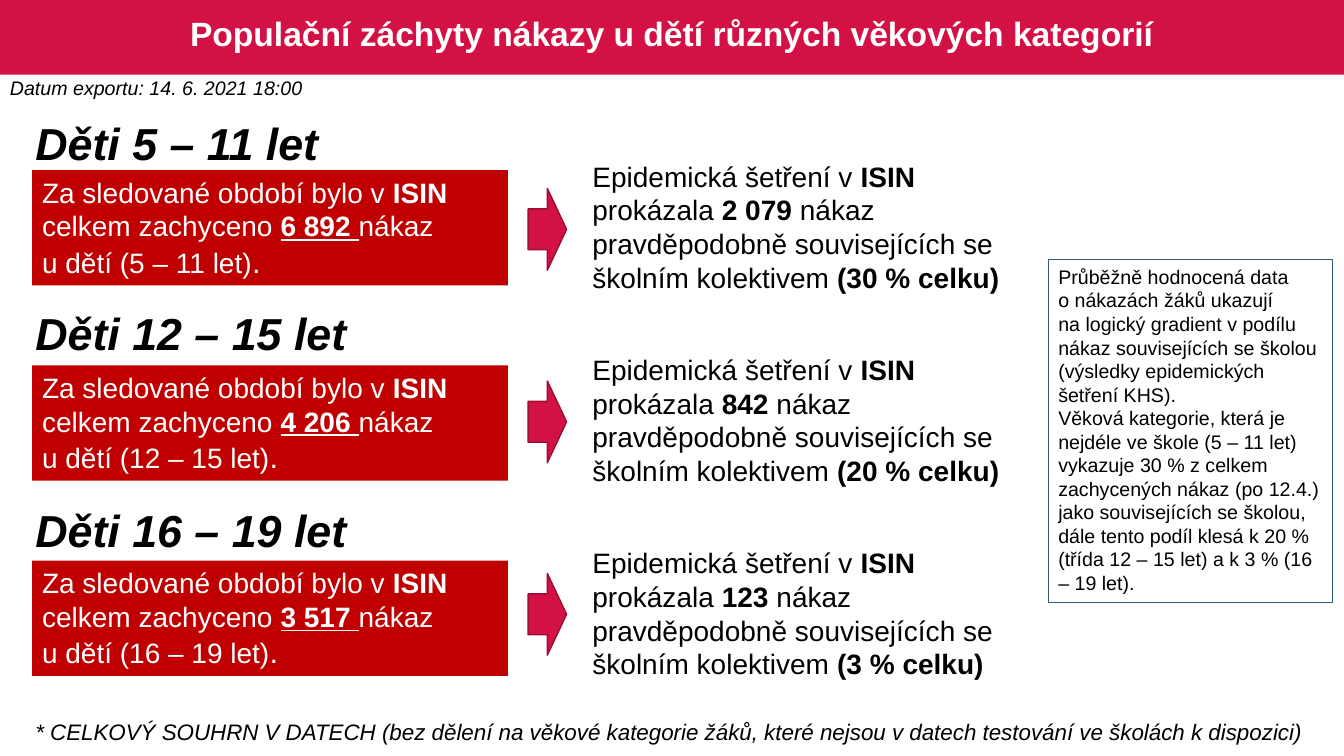
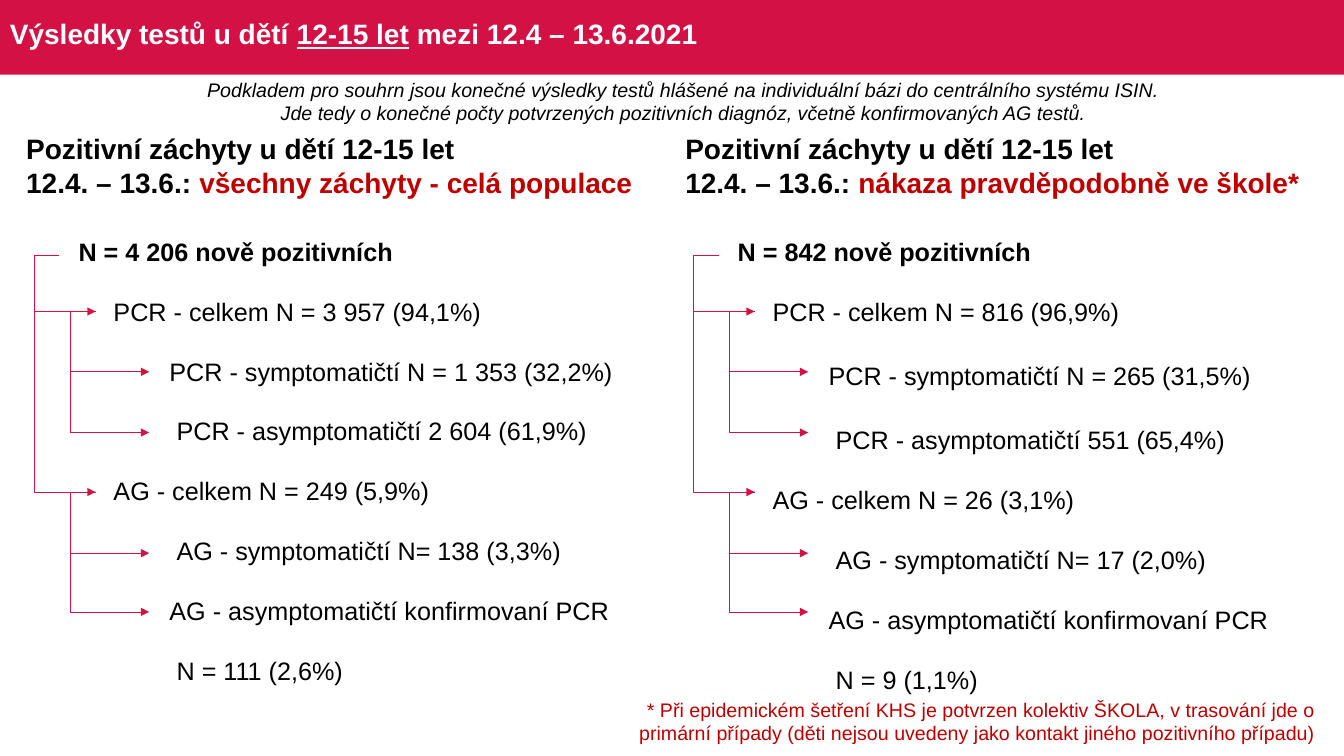
from lxml import etree
from pptx import Presentation
from pptx.dml.color import RGBColor
from pptx.enum import shapes, text
from pptx.oxml import ns
from pptx.util import Cm, Pt

CRIMSON = RGBColor(0xD3, 0x11, 0x45)
DARK_CRIMSON = RGBColor(0x9C, 0x0D, 0x33)
RED = RGBColor(0xC0, 0x00, 0x00)
BLUE = RGBColor(0x30, 0x59, 0x83)
BLACK = RGBColor(0x00, 0x00, 0x00)
WHITE = RGBColor(0xFF, 0xFF, 0xFF)
FONT = "Arial"
SLIDE_W, SLIDE_H = 33.87, 19.05
BAND_H = 1.88
LEFT, CENTER, RIGHT = text.PP_ALIGN.LEFT, text.PP_ALIGN.CENTER, text.PP_ALIGN.RIGHT

# Slide 1: (age group, all cases, school cases, school share)
AGE_TITLE = "Populační záchyty nákazy u dětí různých věkových kategorií"
EXPORT_DATE = "Datum exportu: 14. 6. 2021 18:00"
AGE_GROUPS = [
    ("5 – 11 let", "6 892", "2 079", "30 %"),
    ("12 – 15 let", "4 206", "842", "20 %"),
    ("16 – 19 let", "3 517", "123", "3 %"),
]
HEADING_TOPS = (2.79, 7.57, 12.55)
COMMENTARY = [
    "Průběžně hodnocená data",
    "o nákazách žáků ukazují",
    "na logický gradient v podílu nákaz souvisejících se školou "
    "(výsledky epidemických šetření KHS).",
    "Věková kategorie, která je nejdéle ve škole (5 – 11 let) vykazuje 30 % z celkem "
    "zachycených nákaz (po 12.4.) jako souvisejících se školou, dále tento podíl klesá "
    "k 20 % (třída 12 – 15 let) a k 3 % (16 – 19 let).",
]
SUMMARY_NOTE = ("* CELKOVÝ SOUHRN V DATECH (bez dělení na věkové kategorie žáků, "
                "které nejsou v datech testování ve školách k dispozici)")

# Slide 2: each result is (indent in cm, text)
TEST_TITLE = [("Výsledky testů u dětí ", "b"), ("12-15 let", "bu"),
              (" mezi 12.4 – 13.6.2021", "b")]
SOURCE_NOTE = [
    "Podkladem pro souhrn jsou konečné výsledky testů hlášené na individuální bázi "
    "do centrálního systému ISIN.",
    "Jde tedy o konečné počty potvrzených pozitivních diagnóz, "
    "včetně konfirmovaných AG testů.",
]
PANELS = [
    {"left": 0, "scope": "všechny záchyty - celá populace", "tall_row": None,
     "results": [
         (0, "N = 4 206 nově pozitivních"),
         (0.88, "PCR - celkem N = 3 957 (94,1%)"),
         (2.29, "PCR - symptomatičtí N = 1 353 (32,2%)"),
         (2.47, "PCR - asymptomatičtí 2 604 (61,9%)"),
         (0.88, "AG - celkem N = 249 (5,9%)"),
         (2.47, "AG - symptomatičtí N= 138 (3,3%)"),
         (2.29, "AG - asymptomatičtí konfirmovaní PCR"),
         (2.47, "N = 111 (2,6%)")]},
    {"left": 16.61, "scope": "nákaza pravděpodobně ve škole*", "tall_row": 2,
     "results": [
         (0, "N = 842 nově pozitivních"),
         (0.88, "PCR - celkem N = 816 (96,9%)"),
         (2.29, "PCR - symptomatičtí N = 265 (31,5%)"),
         (2.47, "PCR - asymptomatičtí 551 (65,4%)"),
         (0.88, "AG - celkem N = 26 (3,1%)"),
         (2.47, "AG - symptomatičtí N= 17 (2,0%)"),
         (2.29, "AG - asymptomatičtí konfirmovaní PCR"),
         (2.47, "N = 9 (1,1%)")]},
]
SCHOOL_NOTE = ("* Při epidemickém šetření KHS je potvrzen kolektiv ŠKOLA, v trasování jde o "
               "primární případy (děti nejsou uvedeny jako kontakt jiného pozitivního případu)")
ROW_H, TALL_ROW_H = 1.51, 1.73

# Branches of the result tree: (start x, spine x, end x, start y, end ys)
BRANCHES = [
    (1.5, 0.86, 2.41, 6.43, (7.85, 12.4)),
    (2.41, 1.78, 3.76, 7.85, (9.37, 10.9)),
    (2.41, 1.78, 3.76, 12.4, (13.94, 15.42)),
]


def add_run(paragraph, words, size, color, style=""):
    """Style is any mix of the letters b, i and u."""
    run = paragraph.add_run()
    run.text = words
    font = run.font
    font.name, font.size = FONT, Pt(size)
    font.color.rgb = color
    font.bold, font.italic, font.underline = (letter in style for letter in "biu")


def write(frame, paragraphs, size, color=BLACK, align=LEFT):
    """Each paragraph is a list of (words, style[, color[, size]]) runs."""
    frame.word_wrap = True
    frame.vertical_anchor = text.MSO_ANCHOR.TOP
    for i, runs in enumerate(paragraphs):
        paragraph = frame.add_paragraph() if i else frame.paragraphs[0]
        paragraph.alignment = align
        for words, style, *own in runs:
            own_color = own[0] if own else color
            own_size = own[1] if len(own) > 1 else size
            add_run(paragraph, words, own_size, own_color, style)


def add_text(slide, box, paragraphs, size, color=BLACK, align=LEFT):
    frame = slide.shapes.add_textbox(*map(Cm, box)).text_frame
    write(frame, paragraphs, size, color, align)
    return frame


def add_block(slide, preset, box, fill=None, line=None, line_width=1):
    block = slide.shapes.add_shape(preset, *map(Cm, box))
    block.shadow.inherit = False
    if fill is None:
        block.fill.background()
    else:
        block.fill.solid()
        block.fill.fore_color.rgb = fill
    if line is None:
        block.line.fill.background()
    else:
        block.line.color.rgb = line
        block.line.width = Pt(line_width)
    return block


def add_titled_slide(deck, title, left, width, size, align):
    slide = deck.slides.add_slide(deck.slide_layouts[6])
    add_block(slide, shapes.MSO_SHAPE.RECTANGLE, (0, 0, SLIDE_W, BAND_H), CRIMSON)
    frame = add_text(slide, (left, 0.1, width, 1.6), [title], size, WHITE, align)
    frame.vertical_anchor = text.MSO_ANCHOR.MIDDLE
    frame.paragraphs[0].line_spacing = 0.9
    return slide


def add_branch(slide, x1, spine, x2, y1, y2):
    """Elbow arrow that runs back to the spine, down it and out to the end."""
    branch = slide.shapes.add_connector(
        shapes.MSO_CONNECTOR.ELBOW, Cm(x1), Cm(y1), Cm(x2), Cm(y2))
    branch.line.color.rgb = CRIMSON
    branch.line.width = Pt(0.5)
    properties = branch._element.spPr
    guides = properties.find(ns.qn("a:prstGeom")).get_or_add_avLst()
    bend = round((spine - x1) / (x2 - x1) * 100000)
    etree.SubElement(guides, ns.qn("a:gd"), name="adj1", fmla=f"val {bend}")
    etree.SubElement(branch.line._get_or_add_ln(), ns.qn("a:tailEnd"), type="triangle")
    etree.SubElement(properties, ns.qn("a:effectLst"))


def add_results(slide, left, results, tall_row):
    heights = [TALL_ROW_H if i == tall_row else ROW_H for i in range(len(results))]
    table = slide.shapes.add_table(
        len(results), 1, Cm(left), Cm(5.59), Cm(15.27), Cm(sum(heights))).table
    table.first_row = table.horz_banding = False
    for i, (indent, words) in enumerate(results):
        table.rows[i].height = Cm(heights[i])
        cell = table.cell(i, 0)
        cell.fill.background()
        cell.vertical_anchor = text.MSO_ANCHOR.MIDDLE
        cell.margin_left = Cm(0.03 + indent)
        cell.margin_right = cell.margin_top = Cm(0.03)
        cell.margin_bottom = 0
        add_run(cell.text_frame.paragraphs[0], words, 18, BLACK, "" if i else "b")


def build_age_slide(deck):
    slide = add_titled_slide(deck, [(AGE_TITLE, "b")], 0.46, 32.94, 24, CENTER)
    add_text(slide, (0, 1.8, 7.92, 0.86), [[(EXPORT_DATE, "i")]], 14)
    for i, (ages, cases, school_cases, share) in enumerate(AGE_GROUPS):
        add_text(slide, (0.64, HEADING_TOPS[i], 9.1, 1.62), [[(f"Děti {ages}", "bi")]], 32)
        caught = add_block(slide, shapes.MSO_SHAPE.RECTANGLE,
                           (0.81, 4.29 + 4.92 * i, 11.99, 2.9), RED)
        write(caught.text_frame, [
            [("Za sledované období bylo v ", ""), ("ISIN", "b"), (" celkem zachyceno ", ""),
             (f"{cases} ", "bu"), ("nákaz", "")],
            [(f"u dětí ({ages})", ""), (".", "", WHITE, 22)],
        ], 20, WHITE)
        add_block(slide, shapes.MSO_SHAPE.RIGHT_ARROW,
                  (13.31, 4.75 + 4.85 * i, 0.97, 2.06), CRIMSON, DARK_CRIMSON)
        add_text(slide, (14.68, 3.89 + 4.87 * i, 11.71, 3.68), [
            [("Epidemická šetření v ", ""), ("ISIN", "b"), (" prokázala ", ""),
             (f"{school_cases} ", "b"),
             ("nákaz pravděpodobně souvisejících se školním kolektivem ", ""),
             (f"({share} celku)", "b")],
        ], 20)
    commentary = add_block(slide, shapes.MSO_SHAPE.RECTANGLE,
                           (26.42, 6.55, 7.16, 8.64), line=BLUE, line_width=0.75)
    write(commentary.text_frame, [[(words, "")] for words in COMMENTARY], 14)
    add_text(slide, (0.64, 17.98, 33.6, 0.94), [[(SUMMARY_NOTE, "i")]], 16)


def build_test_slide(deck):
    slide = add_titled_slide(deck, TEST_TITLE, 0, 33.4, 20, LEFT)
    add_text(slide, (4.55, 1.83, 25.35, 1.45),
             [[(words, "i")] for words in SOURCE_NOTE], 14, align=CENTER)
    for panel in PANELS:
        left = panel["left"]
        add_text(slide, (left + 0.41, 3.2, 16.05, 1.96), [
            [("Pozitivní záchyty u dětí 12-15 let", "b")],
            [("12.4. – 13.6.: ", "b"), (panel["scope"], "b", RED)],
        ], 20)
        add_results(slide, left + 1.95, panel["results"], panel["tall_row"])
        for x1, spine, x2, y1, ends in BRANCHES:
            for y2 in ends:
                add_branch(slide, left + x1, left + spine, left + x2, y1, y2)
    add_text(slide, (15.75, 17.45, 17.65, 1.45), [[(SCHOOL_NOTE, "")]], 14, RED, RIGHT)


def main():
    deck = Presentation()
    deck.slide_width, deck.slide_height = Cm(SLIDE_W), Cm(SLIDE_H)
    build_age_slide(deck)
    build_test_slide(deck)
    deck.save("out.pptx")


if __name__ == "__main__":
    main()
